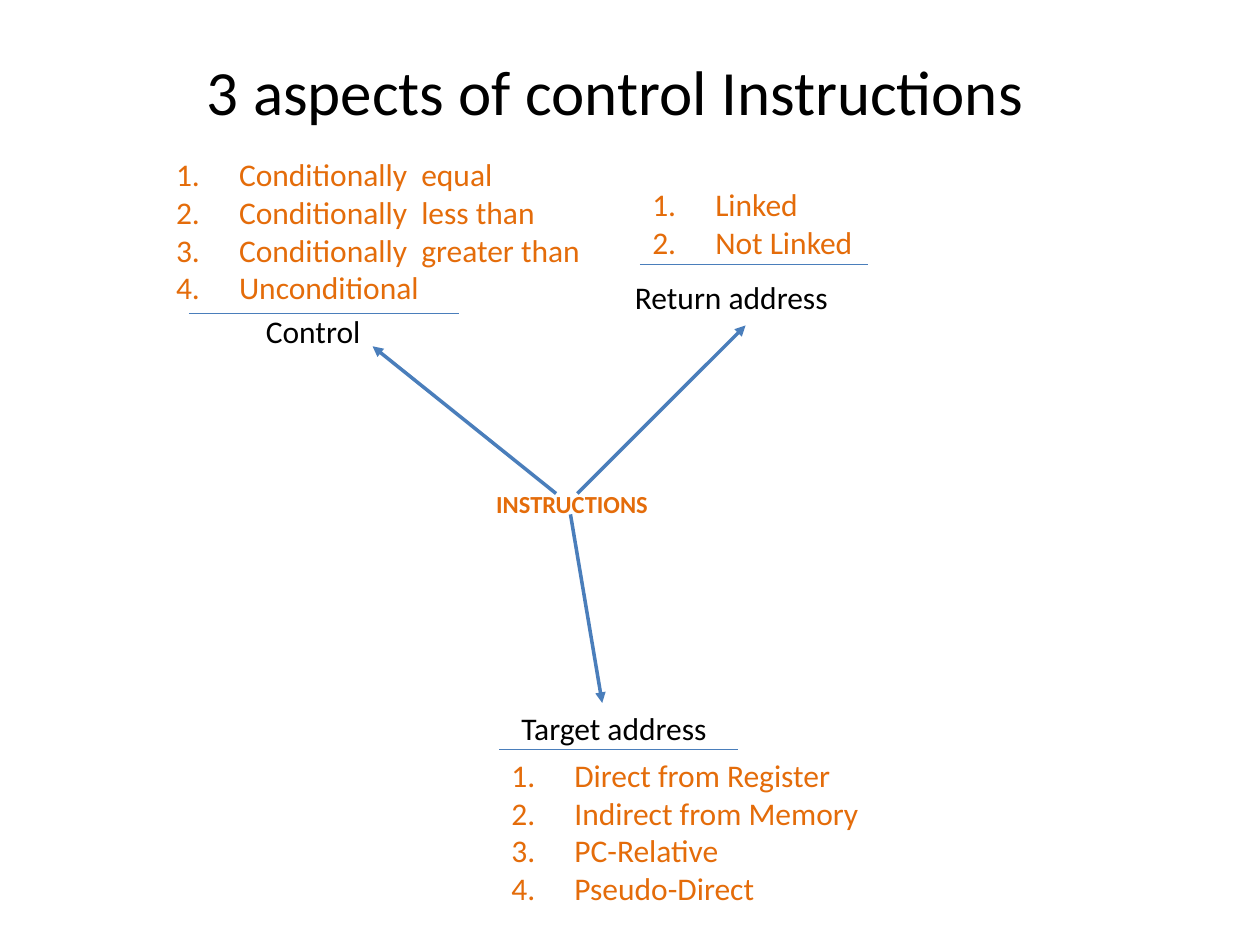
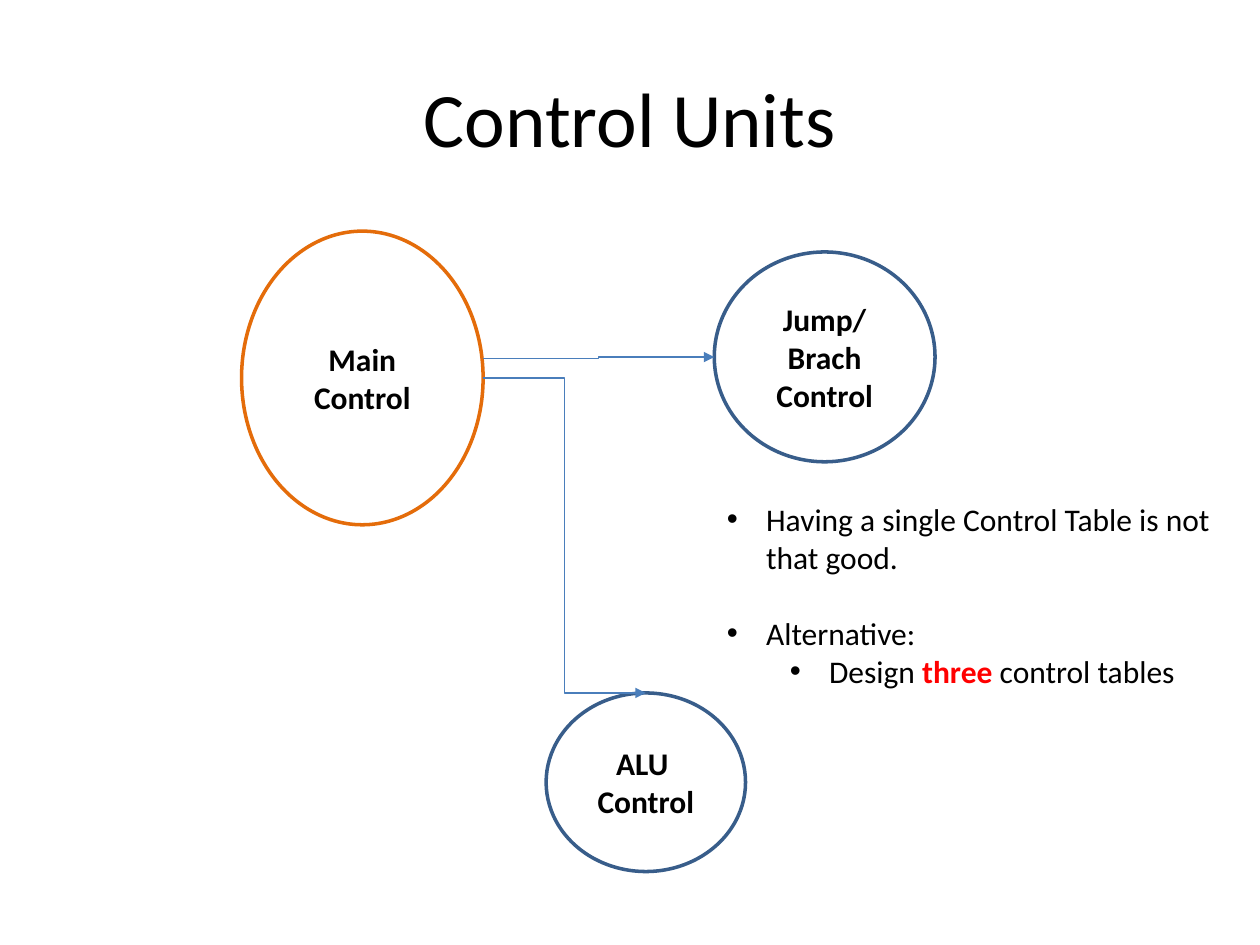
from lxml import etree
from pptx import Presentation
from pptx import util as u
from pptx.dml.color import RGBColor
from pptx.enum import shapes, text
from pptx.oxml import ns

FONT = "Calibri"
BLACK, WHITE, RED = "000000", "FFFFFF", "FF0000"
ORANGE, NAVY, BLUE = "E46C0A", "385D8A", "4A7EBB"
TITLE_ONLY, TITLE_AND_BODY = 5, 1
THICK, THIN = 2, 0.75


def rgb(colour):
    """Turn a hex string into a colour."""
    return RGBColor.from_string(colour)


def lengths(*values):
    """Turn centimetres into lengths."""
    return [u.Cm(value) for value in values]


def style(paragraph, size, colour=BLACK, bold=False):
    """Format every run of a paragraph."""
    for run in paragraph.runs:
        run.font.name = FONT
        run.font.size = u.Pt(size)
        run.font.bold = bold
        run.font.color.rgb = rgb(colour)


def mark(paragraph, left, hang, tag, **attributes):
    """Give a paragraph a hanging indent with a bullet or number."""
    properties = paragraph._p.get_or_add_pPr()
    properties.set("marL", str(u.Cm(left)))
    properties.set("indent", str(-u.Cm(hang)))
    etree.SubElement(properties, ns.qn(tag), **attributes)


def place(part, box):
    """Move a part to a box of left, top, width and height."""
    part.left, part.top, part.width, part.height = lengths(*box)


def add_title(slide, wording, box, size):
    """Fill and place the title placeholder."""
    title = slide.shapes.title
    place(title, box)
    title.text_frame.text = wording
    title.text_frame.vertical_anchor = text.MSO_ANCHOR.MIDDLE
    heading = title.text_frame.paragraphs[0]
    heading.alignment = text.PP_ALIGN.CENTER
    style(heading, size)


def add_text(slide, wording, box, colour=BLACK):
    """Add a wrapped text box and return its paragraphs."""
    frame = slide.shapes.add_textbox(*lengths(*box)).text_frame
    frame.word_wrap = True
    frame.text = wording
    for paragraph in frame.paragraphs:
        style(paragraph, 18, colour)
    return frame.paragraphs


def add_line(slide, start, end, width, arrow=False, bent=False):
    """Draw a straight or bent line, with an arrowhead if wanted."""
    kind = shapes.MSO_CONNECTOR.ELBOW if bent else shapes.MSO_CONNECTOR.STRAIGHT
    line = slide.shapes.add_connector(kind, *lengths(*start, *end))
    line.line.width = u.Pt(width)
    line.line.color.rgb = rgb(BLUE)
    properties = line._element.spPr
    if arrow:
        etree.SubElement(properties.get_or_add_ln(), ns.qn("a:tailEnd"), type="triangle")
    etree.SubElement(properties, ns.qn("a:effectLst"))


def add_node(slide, wording, box, kind, size, colour=BLACK, outline=None):
    """Add a shape with bold centred text, filled only if outlined."""
    node = slide.shapes.add_shape(kind, *lengths(*box))
    node.shadow.inherit = False
    if outline:
        node.fill.solid()
        node.fill.fore_color.rgb = rgb(WHITE)
        node.line.color.rgb = rgb(outline)
        node.line.width = u.Pt(THICK)
    else:
        node.fill.background()
        node.line.fill.background()
    frame = node.text_frame
    frame.word_wrap = True
    frame.vertical_anchor = text.MSO_ANCHOR.MIDDLE
    frame.text = wording
    for paragraph in frame.paragraphs:
        paragraph.alignment = text.PP_ALIGN.CENTER
        style(paragraph, size, colour, bold=True)


def add_aspect(slide, box, name, options, label, rule):
    """Add numbered options with a rule and a label offset from their box."""
    left, top = box[:2]
    for option in add_text(slide, "\n".join(options), box, ORANGE):
        mark(option, 1.27, 1.27, "a:buAutoNum", type="arabicPeriod")
    label_x, label_y, label_width = label
    add_text(slide, name, (left + label_x, top + label_y, label_width, 1.02))
    rule_x, rule_y, rule_length = rule
    start = left + rule_x
    add_line(slide, (start, top + rule_y), (start + rule_length, top + rule_y), THIN)


def add_remarks(body, box):
    """Fill the body placeholder with bulleted remarks."""
    place(body, box)
    frame = body.text_frame
    frame.auto_size = text.MSO_AUTO_SIZE.NONE
    remarks = [
        (["Having a single Control Table is not that good."], 0, 0),
        (["Alternative:"], 0, 22),
        (["Design ", "three", " control tables"], 1, 0),
    ]
    for index, (pieces, level, gap) in enumerate(remarks):
        remark = frame.add_paragraph() if index else frame.paragraphs[0]
        for piece in pieces:
            remark.add_run().text = piece
        remark.level = level
        remark.space_before = u.Pt(gap)
        style(remark, 18)
        mark(remark, 0.79 + 1.27 * level, 0.79, "a:buChar", char="•")
    emphasis = frame.paragraphs[-1].runs[1].font
    emphasis.bold = True
    emphasis.color.rgb = rgb(RED)


def build_aspects(deck):
    """Build the slide on the three aspects of control instructions."""
    slide = deck.slides.add_slide(deck.slide_layouts[TITLE_ONLY])
    add_title(slide, "3 aspects of control Instructions", (0.97, 0.23, 22.86, 3.18), 36)
    for start, end in [
        ((11.5, 10.37), (12.14, 14.17)),
        ((11.64, 9.95), (15.03, 6.56)),
        ((11.21, 9.95), (7.51, 6.98)),
    ]:
        add_line(slide, start, end, THICK, arrow=True)
    add_node(slide, "INSTRUCTIONS", (8.89, 9.1, 5.29, 2.12),
             shapes.MSO_SHAPE.ROUNDED_RECTANGLE, 14, ORANGE)
    add_aspect(slide, (3.3, 3, 9.25, 3.35), "Control",
               ["Conditionally  equal", "Conditionally  less than",
                "Conditionally  greater than", "Unconditional"],
               label=(1.81, 3.17, 2.79), rule=(0.51, 3.32, 5.44))
    add_aspect(slide, (12.9, 3.61, 6.27, 1.78), "Return address",
               ["Linked", "Not Linked"],
               label=(-0.35, 1.88, 5.38), rule=(0, 1.72, 4.6))
    add_aspect(slide, (10.06, 15.11, 8.46, 3.9), "Target address",
               ["Direct from Register", "Indirect from Memory",
                "PC-Relative", "Pseudo-Direct"],
               label=(0.2, -0.94, 5.31), rule=(0, 0, 4.82))


def build_units(deck):
    """Build the slide on the control units."""
    slide = deck.slides.add_slide(deck.slide_layouts[TITLE_AND_BODY])
    add_title(slide, "Control Units", (1.27, 0.76, 22.86, 3.18), 44)
    for wording, box, outline in [
        ("Main\nControl", (4.87, 4.66, 4.87, 5.92), ORANGE),
        ("Jump/ Brach\nControl", (14.4, 5.08, 4.45, 4.23), NAVY),
        ("ALU  Control", (11.01, 13.97, 4.02, 3.6), NAVY),
    ]:
        add_node(slide, wording, box, shapes.MSO_SHAPE.OVAL, 18, outline=outline)
    for start, end in [((9.74, 7.23), (14.4, 7.2)), ((9.74, 7.62), (13.02, 13.97))]:
        add_line(slide, start, end, THIN, arrow=True, bent=True)
    add_remarks(slide.placeholders[1], (14.4, 9.95, 11, 4.83))


def main():
    """Build and save the deck."""
    deck = Presentation()
    deck.slide_width, deck.slide_height = lengths(25.4, 19.05)
    build_aspects(deck)
    build_units(deck)
    deck.save("out.pptx")


main()
